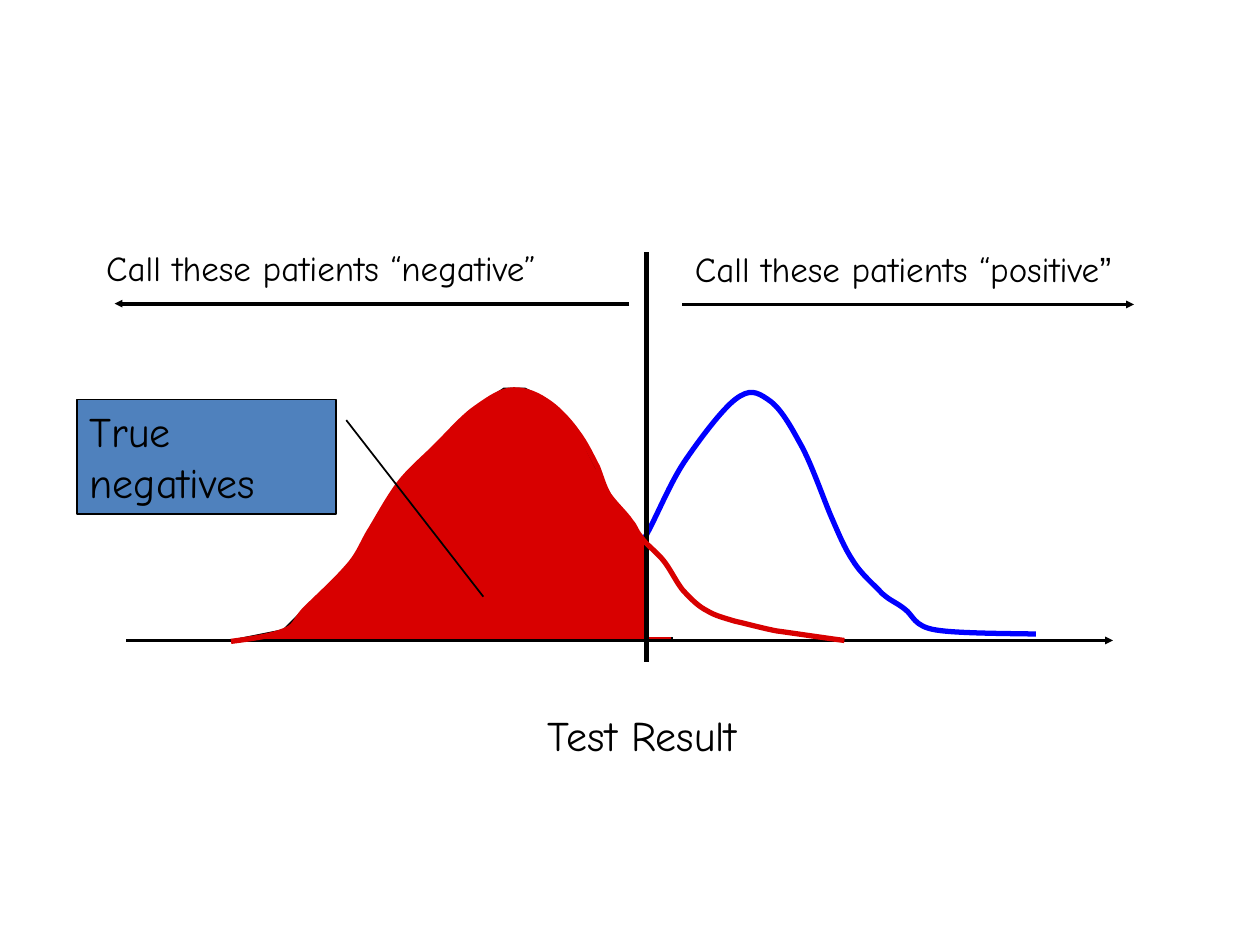
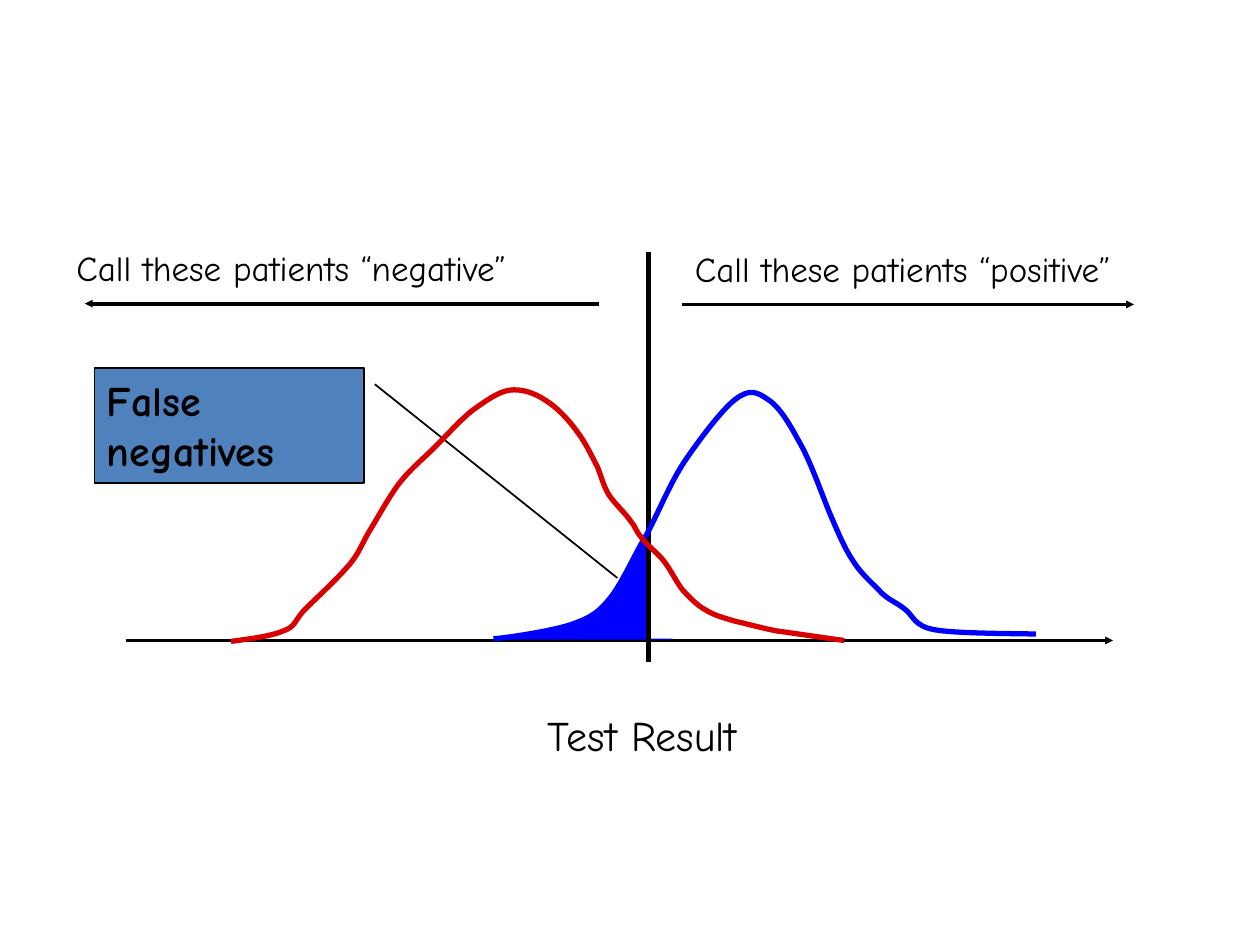
from lxml.etree import SubElement
from pptx import Presentation
from pptx.dml.color import RGBColor
from pptx.enum.shapes import MSO_CONNECTOR, MSO_SHAPE
from pptx.enum.text import MSO_ANCHOR, PP_ALIGN
from pptx.oxml.ns import qn
from pptx.util import Pt

FONT = "Comic Neue"
COLORS = {"ink": "000000", "paper": "FFFFFF", "healthy": "D80000",
          "diseased": "0000FF", "callout": "4F81BD"}
AXIS_Y = 366
CUTOFF_TOP, CUTOFF_BOTTOM = 144, 378

# Each curve: its start, then one (control, control, end) triple per row.
DISEASED_CURVE = [
    (282, 365),
    (289.5, 364.5), (315.5, 360.5), (326, 357),
    (337.5, 353), (341.5, 350.5), (348.5, 342),
    (355.5, 333.5), (362, 318), (369.5, 305.5),
    (376.5, 292.5), (382.5, 277), (391, 264),
    (399.5, 251.5), (412.5, 234), (420.5, 228),
    (428.5, 222), (432.5, 224), (438.5, 228),
    (445, 232), (450.5, 241), (456.5, 252),
    (463, 263), (469.5, 282), (474.5, 294),
    (479.5, 305.5), (482.5, 313), (487.5, 320.5),
    (492.5, 328.5), (499.5, 334), (504, 339),
    (509, 343.5), (512, 344), (517, 348),
    (522, 351.5), (522, 358), (535, 360),
    (547, 362), (579.5, 362), (592, 362.3),
]
HEALTHY_CURVE = [
    (132, 366.5),
    (143.5, 365), (155, 363.5), (162, 360.5),
    (169, 358), (168, 355), (174, 348.5),
    (180, 342.5), (191.5, 332), (198, 324.5),
    (204.5, 317.5), (206, 312.5), (210.5, 304.5),
    (215.5, 296.5), (221, 286), (227.5, 277),
    (234, 268.5), (242, 262), (249, 255),
    (256.5, 247.5), (263, 240), (270, 234.5),
    (277, 229.5), (284.5, 224), (291, 223),
    (298, 222), (305.5, 224.5), (312, 229),
    (318, 232.5), (325.5, 240.5), (330, 247),
    (335, 253.5), (338.5, 261.5), (341.5, 267),
    (344, 273.5), (345, 278), (348, 283),
    (351.5, 288), (358, 294), (360.5, 298),
    (363.5, 301.5), (363, 303), (366, 306.5),
    (368.5, 310.5), (373.5, 314), (378, 319),
    (382.5, 324), (386, 332), (390, 337),
    (394.5, 342), (399, 346.5), (404, 349),
    (409, 352), (413.5, 353), (420, 355),
    (427, 356.5), (433.5, 358.5), (443.5, 360.5),
    (454.5, 362), (474.5, 365), (482.5, 366),
]
TRUE_NEGATIVE_AREA = [
    (132, AXIS_Y), (162, 360), (168, 354), (174, 348), (180, 342), (186, 336),
    (192, 330), (198, 324), (204, 318), (210, 306), (216, 294), (228, 276),
    (240, 264), (246, 258), (252, 252), (258, 246), (264, 240), (270, 234),
    (288, 222), (300, 222), (312, 228), (318, 234), (324, 240), (330, 246),
    (336, 258), (342, 270), (348, 282), (366, 306), (372, 312), (378, 318),
    (384, 324), (384, AXIS_Y),
]
FALSE_NEGATIVE_AREA = [
    (384, 276), (384, AXIS_Y), (282, AXIS_Y), (312, 360), (336, 354),
    (342, 348), (348, 342), (360, 324), (366, 312), (372, 300),
]


def rgb(name):
    return RGBColor.from_string(COLORS[name])


def set_line(line, color, width):
    line.color.rgb = rgb(color)
    line.width = Pt(width)


def set_fill(shape, color):
    shape.fill.solid()
    shape.fill.fore_color.rgb = rgb(color)


def set_font(p, size, bold=False):
    p.alignment = PP_ALIGN.LEFT
    p.font.name, p.font.size, p.font.bold = FONT, Pt(size), bold
    p.font.color.rgb = rgb("ink")


def add_line(shapes, start, end, width, arrow=False):
    line = shapes.add_connector(MSO_CONNECTOR.STRAIGHT, *map(Pt, start + end))
    set_line(line.line, "ink", width)
    if arrow:
        SubElement(line.line._get_or_add_ln(), qn("a:tailEnd"),
                   type="triangle", w="sm", len="sm")
    SubElement(line._element.spPr, qn("a:effectLst"))


def add_label(shapes, box, size, text):
    tf = shapes.add_textbox(*map(Pt, box)).text_frame
    tf.word_wrap = True
    p = tf.paragraphs[0]
    p.add_run().text = text
    set_font(p, size)
    return p


def add_outline(s, points, closed):
    points = [(Pt(x), Pt(y)) for x, y in points]
    builder = s.shapes.build_freeform(*points[0])
    builder.add_line_segments(points[1:], close=closed)
    shape = builder.convert_to_shape()
    shape.shadow.inherit = False
    return shape


def add_area(s, points, color):
    area = add_outline(s, points, True)
    set_fill(area, color)
    set_line(area.line, "ink", 1)


def bend(shape):
    """Join each three line segments of an outline into one Bezier segment."""
    segments = list(shape._element.iter(qn("a:lnTo")))
    for i in range(0, len(segments), 3):
        outline = segments[i].getparent()
        bezier = SubElement(outline, qn("a:cubicBezTo"))
        for segment in segments[i:i + 3]:
            bezier.append(segment[0])
            outline.remove(segment)


def add_curve(s, points, color):
    curve = add_outline(s, points, False)
    bend(curve)
    curve.fill.background()
    set_line(curve.line, color, 3)


def add_mask(s, top, height):
    """Hide the part of a filled area that lies beyond the cutoff."""
    mask = s.shapes.add_shape(MSO_SHAPE.RECTANGLE, Pt(371), Pt(top), Pt(18), Pt(height))
    mask.shadow.inherit = False
    set_fill(mask, "paper")
    mask.line.fill.background()


def add_callout(s, box, pointer, text, bold=False):
    callout = s.shapes.add_shape(MSO_SHAPE.LINE_CALLOUT_1, *map(Pt, box))
    callout.shadow.inherit = False
    for i, value in enumerate(pointer):
        callout.adjustments[i] = value
    set_fill(callout, "callout")
    set_line(callout.line, "ink", 1)
    tf = callout.text_frame
    tf.word_wrap = True
    tf.vertical_anchor = MSO_ANCHOR.TOP
    tf.text = text
    set_font(tf.paragraphs[0], 24, bold)


def add_axis(s):
    add_line(s.shapes, (72, AXIS_Y), (636, AXIS_Y), 2.25, arrow=True)
    add_label(s.shapes, (306, 402, 198, 36), 24, "Test Result")


def add_call(s, left, top, arrow, text):
    """Add a call with an arrow below it; arrow gives its ends from the left."""
    shapes = s.shapes.add_group_shape().shapes
    start, end = ((left + x, top + 36) for x in arrow)
    add_line(shapes, start, end, 2.25, arrow=True)
    return add_label(shapes, (left, top, 312, 31), 20, text)


def add_negative_call(s, left):
    add_call(s, left, 137.5, (306, 12), "Call these patients “negative”")


def add_positive_call(s, text="Call these patients “positive”"):
    return add_call(s, 390, 138, (0, 258), text)


def add_cutoff(s, x):
    add_line(s.shapes, (x, CUTOFF_TOP), (x, CUTOFF_BOTTOM), 3)


def add_true_negatives(s):
    add_curve(s, DISEASED_CURVE, "diseased")
    add_area(s, TRUE_NEGATIVE_AREA, "healthy")
    add_axis(s)
    add_negative_call(s, 53.5)
    r = add_positive_call(s, "Call these patients “positive").add_run()
    r.text = "”"
    r.font.name = "Arial"
    add_cutoff(s, 369.5)
    add_mask(s, 308, 56)
    add_curve(s, HEALTHY_CURVE, "healthy")
    add_callout(s, (44.2, 228.3, 147.8, 65.5), (0.18, 1.04, 1.72, 1.57),
                "True negatives")


def add_false_negatives(s):
    add_axis(s)
    add_negative_call(s, 36.5)
    add_positive_call(s)
    add_area(s, FALSE_NEGATIVE_AREA, "diseased")
    add_callout(s, (54, 210.4, 154, 65.5), (0.14, 1.04, 1.83, 1.94),
                "False negatives", bold=True)
    add_mask(s, 269.5, 95.5)
    add_cutoff(s, 370.6)
    add_curve(s, DISEASED_CURVE, "diseased")
    add_curve(s, HEALTHY_CURVE, "healthy")


def main():
    prs = Presentation()
    prs.slide_width, prs.slide_height = Pt(720), Pt(540)
    for build in (add_true_negatives, add_false_negatives):
        build(prs.slides.add_slide(prs.slide_layouts[6]))
    prs.save("out.pptx")


if __name__ == "__main__":
    main()
